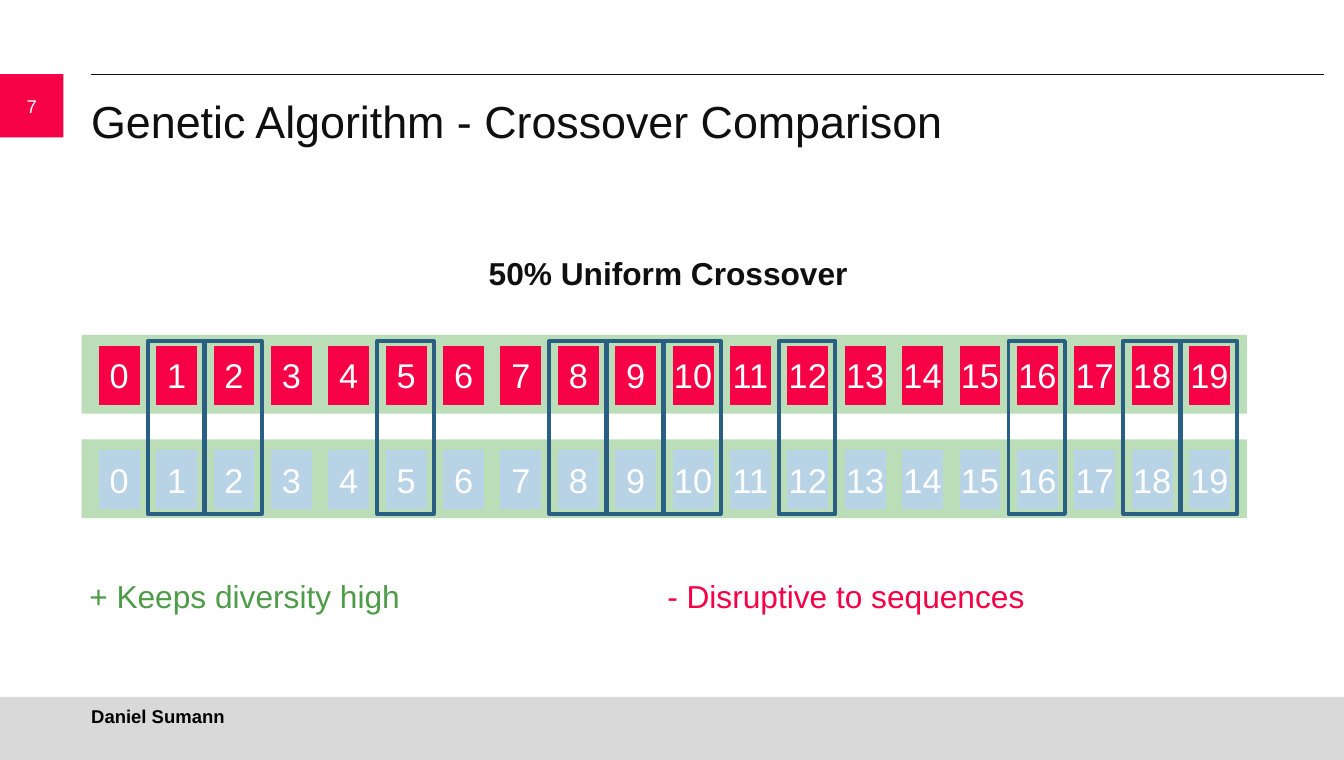
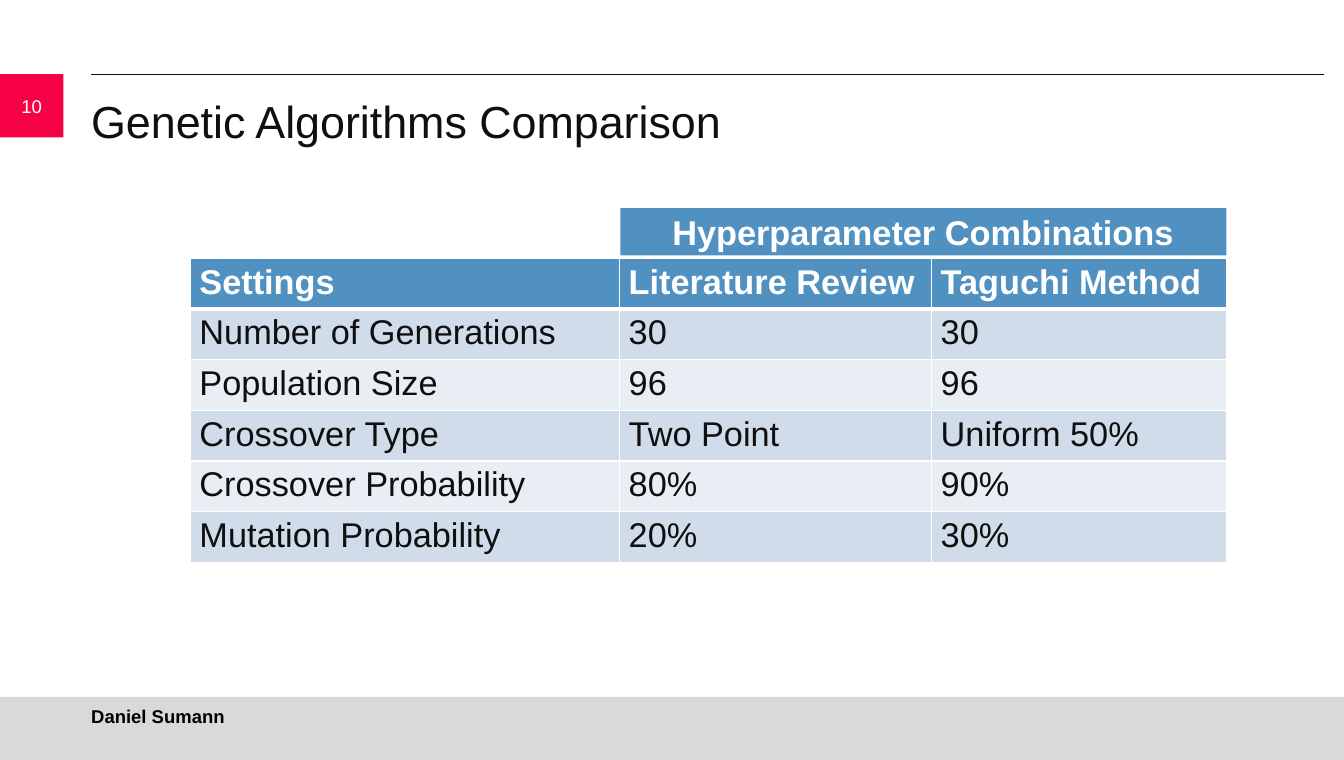
from lxml import etree
from pptx import Presentation
from pptx.dml.color import RGBColor as RGB
from pptx.enum.shapes import MSO_CONNECTOR as CONNECTOR, MSO_SHAPE as SHAPE
from pptx.enum.text import MSO_ANCHOR as ANCHOR, PP_ALIGN as ALIGN
from pptx.oxml.ns import qn
from pptx.util import Pt

WIDTH, HEIGHT = 1018.8, 576
MARGIN = 69.1
BADGE_TOP, BADGE_SIZE = 56.2, 48
FONT = "Arial"
AUTHOR = "Daniel Sumann"
COLORS = {
    "red": "F70146", "gray": "D9D9D9", "ink": "0F0F0F", "black": "000000",
    "white": "FFFFFF", "green": "78BE73", "dark_green": "4E9C49",
    "pale_blue": "B9D3E6", "navy": "285F82", "blue": "5191C1",
    "row_dark": "D0DCE9", "row_light": "E9EEF4",
}
NO_INSETS = (0, 0, 0, 0)
CELL_INSETS = (7.2, 3.6, 7.2, 3.6)
NOTE_INSETS = (0, 3.6, 7.2, 3.6)

GENE_COUNT, GENE_PITCH = 20, 43.5
GENE_LEFT, GENE_TOP, GENE_WIDTH, GENE_HEIGHT = 74.9, 262, 31, 44.6
PARENT_PITCH = 79.2
STRAND_LEFT, STRAND_TOP, STRAND_WIDTH, STRAND_HEIGHT = 61.9, 253.8, 883.4, 59.8
SWAPPED_GENES = (1, 2, 5, 8, 9, 10, 12, 16, 18, 19)

SETTINGS = [
    ("Settings", "Literature Review", "Taguchi Method"),
    ("Number of Generations", "30", "30"),
    ("Population Size", "96", "96"),
    ("Crossover Type", "Two Point", "Uniform 50%"),
    ("Crossover Probability", "80%", "90%"),
    ("Mutation Probability", "20%", "30%"),
]
SETTING_WIDTHS = (325.4, 236.5, 223.9)
SETTING_HEIGHT = 36.2


def rgb(color):
    return RGB.from_string(COLORS[color])


def points(*lengths):
    return [Pt(length) for length in lengths]


class Deck:
    def __init__(self):
        self.prs = Presentation()
        self.prs.slide_width, self.prs.slide_height = points(WIDTH, HEIGHT)
        self.slide = None

    def new_slide(self, number, title):
        self.slide = self.prs.slides.add_slide(self.prs.slide_layouts[6])
        badge = (0, BADGE_TOP, BADGE_SIZE, BADGE_SIZE)
        self.box(badge, "red", str(number), size=14)
        self.box((0, 528.2, WIDTH, HEIGHT - 528.2), "gray")
        self.rule(MARGIN, BADGE_TOP, 1003.7)
        self.text((MARGIN, 70.6, 935.3, 48), title, 34)
        self.text((MARGIN, 534.2, 922.3, 17.3), AUTHOR, 14, "black", bold=True,
                  anchor=ANCHOR.MIDDLE)

    def style(self, frame, text, size, color, bold, align):
        frame.text = text
        paragraph = frame.paragraphs[0]
        paragraph.alignment = align
        font = paragraph.runs[0].font
        font.name, font.size, font.bold = FONT, Pt(size), bold
        font.color.rgb = rgb(color)

    def fill_frame(self, frame, text, size, color, bold, align, anchor, insets):
        frame.word_wrap = True
        frame.vertical_anchor = anchor
        (frame.margin_left, frame.margin_top,
         frame.margin_right, frame.margin_bottom) = points(*insets)
        self.style(frame, text, size, color, bold, align)

    def text(self, area, text, size, color="ink", bold=False, align=ALIGN.LEFT,
             anchor=ANCHOR.TOP, insets=NO_INSETS):
        frame = self.slide.shapes.add_textbox(*points(*area)).text_frame
        self.fill_frame(frame, text, size, color, bold, align, anchor, insets)

    def box(self, area, fill=None, text="", size=26, bold=False, alpha=None,
            outline=None, kind=SHAPE.RECTANGLE):
        shape = self.slide.shapes.add_shape(kind, *points(*area))
        shape.shadow.inherit = False
        if fill:
            shape.fill.solid()
            shape.fill.fore_color.rgb = rgb(fill)
        else:
            shape.fill.background()
        if alpha:
            color = shape._element.spPr.find(qn("a:solidFill"))[0]
            etree.SubElement(color, qn("a:alpha"), val=str(alpha * 1000))
        if outline:
            shape.line.color.rgb = rgb(outline)
            shape.line.width = Pt(3)
        else:
            shape.line.fill.background()
        if text:
            self.fill_frame(shape.text_frame, text, size, "white", bold,
                            ALIGN.CENTER, ANCHOR.MIDDLE, NO_INSETS)

    def rule(self, left, top, right):
        line = self.slide.shapes.add_connector(
            CONNECTOR.STRAIGHT, *points(left, top, right, top))
        line.line.color.rgb = rgb("ink")
        line.line.width = Pt(0.5)
        etree.SubElement(line._element.spPr, qn("a:effectLst"))

    def border(self, cell, side, width):
        line = etree.SubElement(cell._tc.get_or_add_tcPr(), qn(f"a:ln{side}"),
                                w=str(Pt(width)))
        fill = etree.SubElement(line, qn("a:solidFill"))
        etree.SubElement(fill, qn("a:srgbClr"), val=COLORS["white"])

    def table(self, left, top, rows, widths, row_height):
        area = points(left, top, sum(widths), row_height * len(rows))
        table = self.slide.shapes.add_table(len(rows), len(widths), *area).table
        for column, width in zip(table.columns, widths):
            column.width = Pt(width)
        for r, values in enumerate(rows):
            table.rows[r].height = Pt(row_height)
            header = r == 0
            fill = "blue" if header else "row_dark" if r % 2 else "row_light"
            for c, value in enumerate(values):
                cell = table.cell(r, c)
                for side in "LRTB":
                    thick = (header and side == "B") or (r == 1 and side == "T")
                    self.border(cell, side, 3 if thick else 1)
                cell.fill.solid()
                cell.fill.fore_color.rgb = rgb(fill)
                self.style(cell.text_frame, value, 26,
                           "white" if header else "ink", header, ALIGN.LEFT)


def crossover_slide(deck):
    deck.new_slide(7, "Genetic Algorithm - Crossover Comparison")
    deck.text((367.2, 188.6, 285.8, 36), "50% Uniform Crossover", 24, bold=True,
              align=ALIGN.CENTER, insets=NOTE_INSETS)
    for parent, color in enumerate(("red", "pale_blue")):
        shift = parent * PARENT_PITCH
        deck.box((STRAND_LEFT, STRAND_TOP + shift, STRAND_WIDTH, STRAND_HEIGHT),
                 "green", alpha=50)
        for gene in range(GENE_COUNT):
            deck.box((GENE_LEFT + gene * GENE_PITCH, GENE_TOP + shift,
                      GENE_WIDTH, GENE_HEIGHT),
                     color, str(gene), kind=SHAPE.FLOWCHART_PROCESS)
    for gene in SWAPPED_GENES:
        deck.box((GENE_LEFT - 6.4 + gene * GENE_PITCH, 258.5, 42.8, 131),
                 outline="navy")
    deck.text((67.7, 433.4, 430, 36), "+ Keeps diversity high", 24, "dark_green",
              insets=NOTE_INSETS)
    deck.text((505.8, 433.4, 430, 36), "- Disruptive to sequences", 24, "red",
              insets=NOTE_INSETS)


def settings_slide(deck):
    deck.new_slide(10, "Genetic Algorithms Comparison")
    left = 144
    deck.table(left, 195.8, SETTINGS, SETTING_WIDTHS, SETTING_HEIGHT)
    deck.box((left + SETTING_WIDTHS[0] + 0.8, 157.7, 459.4, 36), "blue",
             "Hyperparameter Combinations", bold=True)


def main():
    deck = Deck()
    crossover_slide(deck)
    settings_slide(deck)
    deck.prs.save("out.pptx")


if __name__ == "__main__":
    main()
